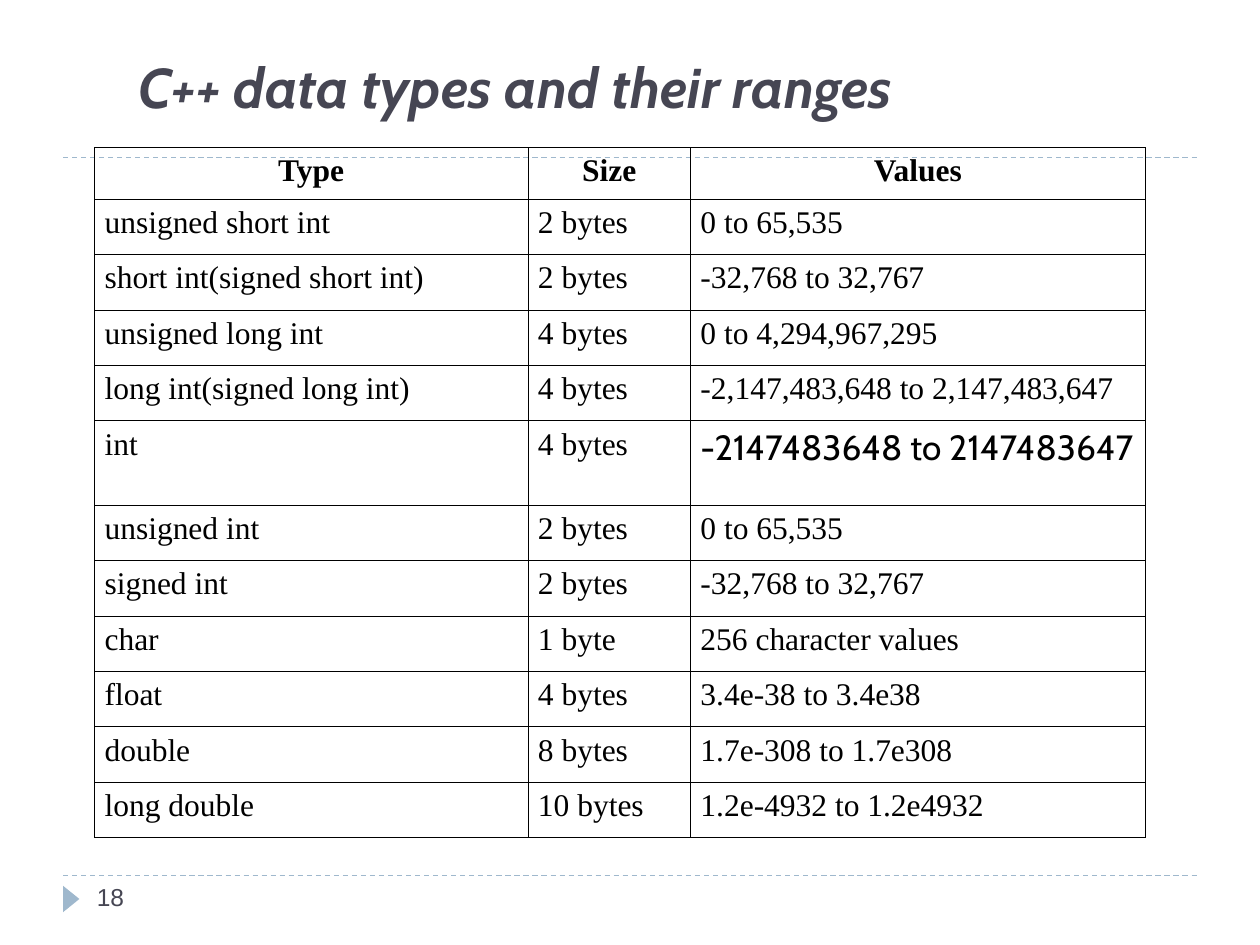
from dataclasses import dataclass

from lxml import etree
from pptx import Presentation
from pptx import util as u
from pptx.dml.color import RGBColor
from pptx.enum import dml, shapes, text
from pptx.oxml import ns


@dataclass(frozen=True)
class Theme:
    """Colours, fonts and type sizes of the slide."""
    accent: str = "9FB8CD"
    heading: str = "464653"
    ink: str = "000000"
    display_font: str = "Cabin"
    table_font: str = "Times New Roman"
    number_font: str = "Arial"
    title_size: int = 32
    wide_value_size: int = 20
    table_size: int = 18
    number_size: int = 14
    rule_width: float = 0.75
    border_width: float = 0.45


THEME = Theme()
HEADER = ("Type", "Size", "Values")
INT_RANGE = "-2147483648 to 2147483647"
DATA_TYPES = (
    ("unsigned short int", "2 bytes", "0 to 65,535"),
    ("short int(signed short int)", "2 bytes", "-32,768 to 32,767"),
    ("unsigned long int", "4 bytes", "0 to 4,294,967,295"),
    ("long int(signed long int)", "4 bytes", "-2,147,483,648 to 2,147,483,647"),
    ("int", "4 bytes", INT_RANGE),
    ("unsigned int", "2 bytes", "0 to 65,535"),
    ("signed int", "2 bytes", "-32,768 to 32,767"),
    ("char", "1 byte", "256 character values"),
    ("float", "4 bytes", "3.4e-38 to 3.4e38"),
    ("double", "8 bytes", "1.7e-308 to 1.7e308"),
    ("long double", "10 bytes", "1.2e-4932 to 1.2e4932"),
)
COLUMN_WIDTHS = (3.44, 1.29, 3.61)
HEADER_HEIGHT, ROW_HEIGHT, INT_HEIGHT = 0.41, 0.44, 0.67


def add_run(paragraph, wording, font, size, color, bold=False, italic=False):
    """Append one styled run to a paragraph."""
    run = paragraph.add_run()
    run.text = wording
    run.font.name = font
    run.font.size = u.Pt(size)
    run.font.color.rgb = RGBColor.from_string(color)
    run.font.bold = bold
    run.font.italic = italic


def add_label(slide, box, anchor, wording, *style):
    """Place a wrapped text box with a single run."""
    frame = slide.shapes.add_textbox(*map(u.Inches, box)).text_frame
    frame.word_wrap = True
    frame.vertical_anchor = anchor
    add_run(frame.paragraphs[0], wording, *style)


def add_rule(slide, y):
    """Draw a dashed rule across the slide."""
    rule = slide.shapes.add_connector(
        shapes.MSO_CONNECTOR.STRAIGHT, *map(u.Inches, (0.5, y, 9.5, y)))
    rule.line.color.rgb = RGBColor.from_string(THEME.accent)
    rule.line.width = u.Pt(THEME.rule_width)
    rule.line.dash_style = dml.MSO_LINE.DASH
    etree.SubElement(rule._element.spPr, ns.qn("a:effectLst"))


def add_page_marker(slide):
    """Draw the triangle that points at the page number."""
    marker = slide.shapes.add_shape(
        shapes.MSO_SHAPE.ISOSCELES_TRIANGLE,
        *map(u.Inches, (0.46, 7.07, 0.21, 0.13)))
    marker.rotation = 90
    marker.shadow.inherit = False
    marker.fill.solid()
    marker.fill.fore_color.rgb = RGBColor.from_string(THEME.accent)
    marker.line.fill.background()


def add_borders(cell):
    """Outline all four sides of a cell."""
    properties = cell._tc.get_or_add_tcPr()
    for position, side in enumerate(("lnL", "lnR", "lnT", "lnB")):
        border = etree.Element(
            ns.qn(f"a:{side}"), w=str(u.Pt(THEME.border_width)))
        fill = etree.SubElement(border, ns.qn("a:solidFill"))
        etree.SubElement(fill, ns.qn("a:srgbClr"), val=THEME.ink)
        properties.insert(position, border)


def fill_cell(cell, wording, is_header):
    """Write and style one table cell."""
    cell.margin_left = cell.margin_right = u.Inches(0.08)
    cell.margin_top = cell.margin_bottom = u.Inches(0.05)
    cell.fill.background()
    add_borders(cell)
    font, size = THEME.table_font, THEME.table_size
    if wording == INT_RANGE:
        font, size = THEME.display_font, THEME.wide_value_size
    paragraph = cell.text_frame.paragraphs[0]
    paragraph.alignment = text.PP_ALIGN.CENTER if is_header else text.PP_ALIGN.LEFT
    add_run(paragraph, wording, font, size, THEME.ink, is_header)


def add_type_table(slide):
    """Build the table of data types, sizes and ranges."""
    entries = (HEADER, *DATA_TYPES)
    heights = [HEADER_HEIGHT] + [
        INT_HEIGHT if name == "int" else ROW_HEIGHT for name, _, _ in DATA_TYPES]
    box = (0.75, 1.17, sum(COLUMN_WIDTHS), sum(heights))
    table = slide.shapes.add_table(
        len(entries), len(HEADER), *map(u.Inches, box)).table
    table.first_row = table.horz_banding = False
    for column, width in zip(table.columns, COLUMN_WIDTHS):
        column.width = u.Inches(width)
    for row, height, entry in zip(table.rows, heights, entries):
        row.height = u.Inches(height)
        for cell, wording in zip(row.cells, entry):
            fill_cell(cell, wording, entry is HEADER)


def main():
    """Build and save the slide."""
    deck = Presentation()
    deck.slide_width, deck.slide_height = u.Inches(10), u.Inches(7.5)
    slide = deck.slides.add_slide(deck.slide_layouts[6])
    for y in (6.95, 1.25):
        add_rule(slide, y)
    add_page_marker(slide)
    add_label(slide, (1, 0.3, 8.5, 0.7), text.MSO_ANCHOR.BOTTOM,
              "C++ data types and their ranges", THEME.display_font,
              THEME.title_size, THEME.heading, True, True)
    add_label(slide, (0.67, 6.95, 2.17, 0.4), text.MSO_ANCHOR.TOP, "18",
              THEME.number_font, THEME.number_size, THEME.heading)
    add_type_table(slide)
    deck.save("out.pptx")


if __name__ == "__main__":
    main()
